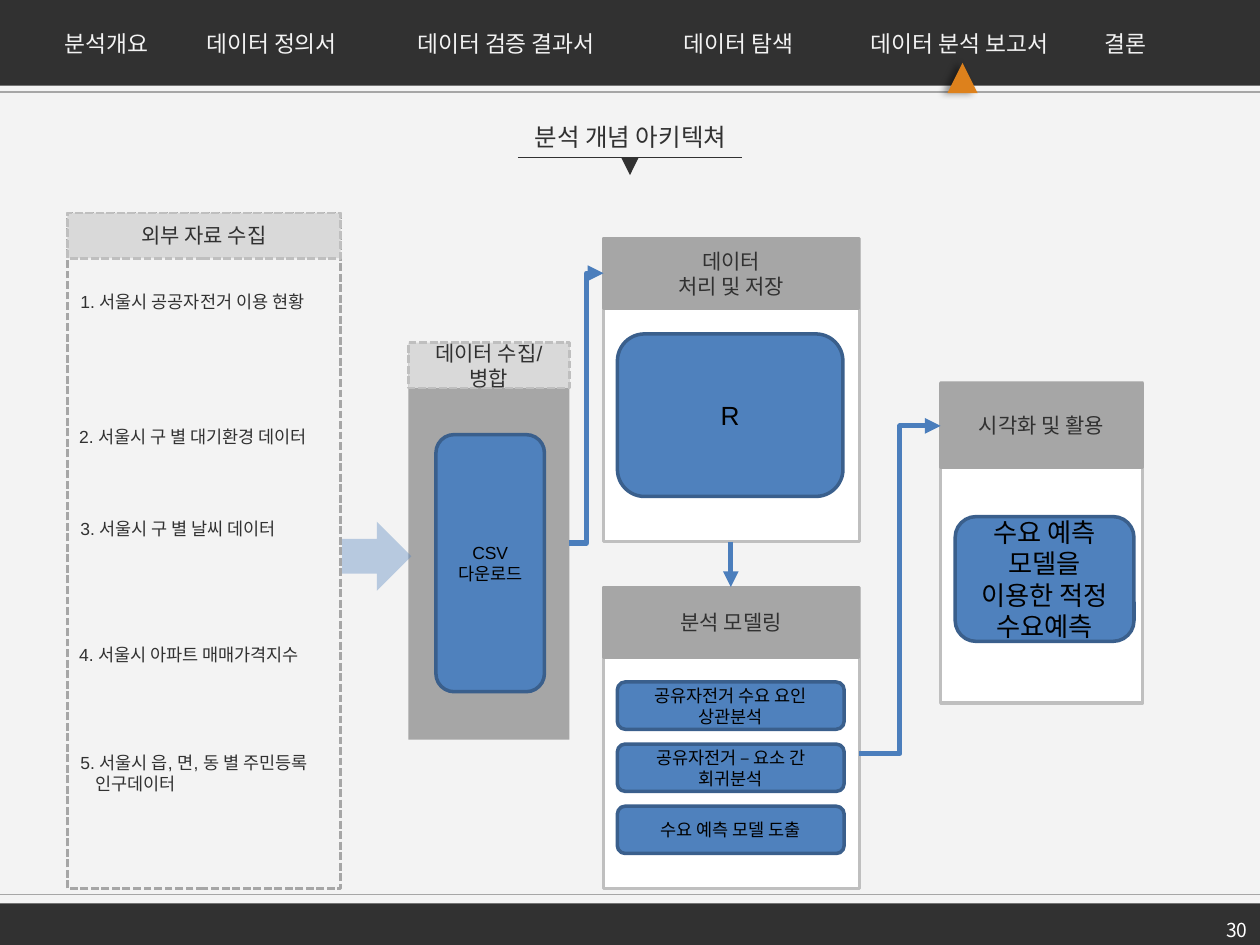
"""Build the slide on the concept architecture of the bike demand analysis."""
from dataclasses import dataclass

from lxml.etree import SubElement
from pptx import Presentation
from pptx.dml.color import RGBColor as Rgb
from pptx.enum.dml import MSO_LINE as Dash
from pptx.enum.shapes import MSO_CONNECTOR as Link, MSO_SHAPE as Form
from pptx.enum.text import MSO_ANCHOR as Anchor, PP_ALIGN as Align
from pptx.oxml.ns import qn
from pptx.util import Pt


@dataclass(frozen=True)
class Theme:
    dark: str = "313131"
    pale: str = "F3F3F3"
    white: str = "FFFFFF"
    black: str = "000000"
    gray: str = "A6A6A6"
    edge: str = "BFBFBF"
    light: str = "D9D9D9"
    blue: str = "4F81BD"
    navy: str = "3A5F8C"
    flow: str = "4B7EBC"
    gold: str = "DD811C"
    face: str = "Arial"
    page: str = "Noto Sans CJK KR"
    note: int = 10
    foot: int = 11
    head: int = 12
    menu: int = 13
    title: int = 14
    big: int = 15


class Board:
    def __init__(self, theme, slide):
        self.t = theme
        self.slide = slide
        fill = slide.background.fill
        fill.solid()
        fill.fore_color.rgb = Rgb.from_string(theme.pale)

    def label(self, frame, lines, size, color, face=None, align=Align.CENTER, hang=0, **form):
        for key, val in form.items():
            setattr(frame, key, val)
        for i, line in enumerate(lines.split("\n")):
            para = frame.paragraphs[0] if i == 0 else frame.add_paragraph()
            if i and hang:
                para._p.get_or_add_pPr().set("marL", str(Pt(hang)))
            para.alignment = align
            run = para.add_run()
            run.text = line
            for key, val in {"size": Pt(size), "name": face or self.t.face}.items():
                setattr(run.font, key, val)
            run.font.color.rgb = Rgb.from_string(color)

    def text(self, box, lines, size, color, **form):
        frame = self.slide.shapes.add_textbox(*map(Pt, box)).text_frame
        self.label(frame, lines, size, color, **{"word_wrap": False, **form})

    def shape(self, form, box, fill=None, line=None, width=1.5, dash=None):
        item = self.slide.shapes.add_shape(form, *map(Pt, box))
        item.shadow.inherit = False
        for part, color in ((item.fill, fill), (item.line.fill, line)):
            if color:
                part.solid()
                part.fore_color.rgb = Rgb.from_string(color)
            else:
                part.background()
        if line:
            for key, val in {"width": Pt(width), "dash_style": dash}.items():
                setattr(item.line, key, val)
        return item

    def head(self, box, lines, dashed=False):
        t = self.t
        look = (t.light, t.edge, 1.5, Dash.SQUARE_DOT) if dashed else (t.gray, t.gray)
        item = self.shape(Form.RECTANGLE, box, *look)
        self.label(item.text_frame, lines, t.head, t.dark, vertical_anchor=Anchor.MIDDLE)

    def panel(self, box, cap, lines):
        x, y, w, h = box
        self.shape(Form.RECTANGLE, box, self.t.white, self.t.edge, 1.75)
        self.head((x, y, w, cap), lines)

    def card(self, box, lines, size):
        item = self.shape(Form.ROUNDED_RECTANGLE, box, self.t.blue, self.t.navy, 2)
        self.label(item.text_frame, lines, size, self.t.black, vertical_anchor=Anchor.MIDDLE)

    def line(self, ends, color, width=0.75, kind=Link.STRAIGHT, arrow=False):
        item = self.slide.shapes.add_connector(kind, *map(Pt, ends))
        item.line.color.rgb = Rgb.from_string(color)
        item.line.width = Pt(width)
        if arrow:
            SubElement(item.line._get_or_add_ln(), qn("a:tailEnd"), type="triangle")
        SubElement(item.element.spPr, qn("a:effectLst"))

    def flow(self, ends, kind=Link.ELBOW):
        self.line(ends, self.t.flow, 3, kind, True)

    def fade(self, item, share):
        tone = next(item.element.spPr.iter(qn("a:srgbClr")))
        SubElement(tone, qn("a:alpha"), val=str(share * 1000))

    def shade(self, item, blur, dist, angle, share):
        root = item.element.spPr.find(qn("a:effectLst"))
        cast = SubElement(root, qn("a:outerShdw"), blurRad=str(Pt(blur)),
                          dist=str(Pt(dist)), dir=str(angle * 60000))
        tone = SubElement(cast, qn("a:srgbClr"), val=self.t.black)
        SubElement(tone, qn("a:alpha"), val=str(share * 1000))


MENU = [
    (25.9, 69.8, "분석개요"), (96.5, 117.4, "데이터 정의서"),
    (212.4, 153.4, "데이터 검증 결과서"), (379.4, 85, "데이터 탐색"),
    (483.8, 128.9, "데이터 분석 보고서"), (622.8, 41, "결론"),
]
DATA = [
    (38.9, 162.7, "1. 서울시 공공자전거 이용 현황"),
    (38.2, 239.8, "2. 서울시 구 별 대기환경 데이터"),
    (38.9, 292.3, "3. 서울시 구 별 날씨 데이터"),
    (38.2, 364.3, "4. 서울시 아파트 매매가격지수"),
    (38.9, 426.2, "5. 서울시 읍, 면, 동 별 주민등록\n인구데이터"),
]
STEPS = ["공유자전거 수요 요인 상관분석", "공유자전거 – 요소 간 회귀분석", "수요 예측 모델 도출"]


def frame(b):
    t = b.t
    b.shape(Form.RECTANGLE, (0, 516.2, 720, 23.8), t.dark)
    for y in (52.6, 511.2):
        b.line((720, y, 0, y), t.gray)
    b.text((563.8, 521.3, 156.2, 18.7), "30", t.foot, t.white, face=t.page,
           align=Align.RIGHT, word_wrap=True)
    b.line((295.9, 90, 424.1, 90), t.dark)
    b.shape(Form.ISOSCELES_TRIANGLE, (355, 90, 10, 10), t.dark).rotation = 180
    b.text((291.6, 66.2, 137.5, 24.5), "분석 개념 아키텍쳐", t.title, t.dark)
    b.shape(Form.RECTANGLE, (0, 0, 720, 49), t.dark)
    for x, w, name in MENU:
        b.text((x, 13.7, w, 23), name, t.menu, t.pale)
    mark = b.shape(Form.ISOSCELES_TRIANGLE, (541.4, 36, 17.3, 17.3), t.gold)
    b.shade(mark, 4, 3, 180, 40)


def stages(b):
    t = b.t
    b.shape(Form.RECTANGLE, (233.3, 197.3, 92.1, 225.4), t.gray)
    b.card((249.1, 248.4, 62, 146.9), "CSV\n다운로드", t.note)
    b.panel((344.9, 136.1, 146.1, 173.5), 40.3, "데이터\n처리 및 저장")
    b.flow((325.4, 310.3, 344.9, 156.2))
    b.card((352.8, 190.8, 128.9, 92.9), "R", t.big)
    b.panel((344.9, 335.5, 146.1, 172.5), 40.3, "분석 모델링")
    for i, step in enumerate(STEPS):
        b.card((352.8, 389.7 + 35.5 * i, 129.6, 27), step, t.note)
    b.flow((417.6, 309.6, 417.6, 335.5), Link.STRAIGHT)
    b.panel((537.5, 218.9, 115.4, 182.9), 48.2, "시각화 및 활용")
    b.card((545.8, 295.2, 102.2, 71.3), "수요 예측 모델을 이용한 적정 수요예측", t.big)
    b.flow((491, 430.6, 537.5, 243.4))
    b.head((233.3, 195.8, 92.1, 25.9), "데이터 수집/ 병합", True)


def source(b):
    t = b.t
    b.fade(b.shape(Form.RIGHT_ARROW, (195.5, 298.1, 39.6, 39.6), t.blue), 36)
    b.shape(Form.RECTANGLE, (38.5, 121.7, 156.2, 386), None, t.gray, 1.5, Dash.SQUARE_DOT)
    b.head((38.5, 121.7, 156.2, 25.9), "외부 자료 수집", True)
    for x, y, name in DATA:
        b.text((x, y, 161, 19.4 + 12 * name.count("\n")), name, t.note, t.dark,
               align=Align.LEFT, hang=8.6)


def main():
    deck = Presentation()
    deck.slide_width, deck.slide_height = Pt(720), Pt(540)
    board = Board(Theme(), deck.slides.add_slide(deck.slide_layouts[6]))
    for part in (frame, stages, source):
        part(board)
    deck.save("out.pptx")


if __name__ == "__main__":
    main()
